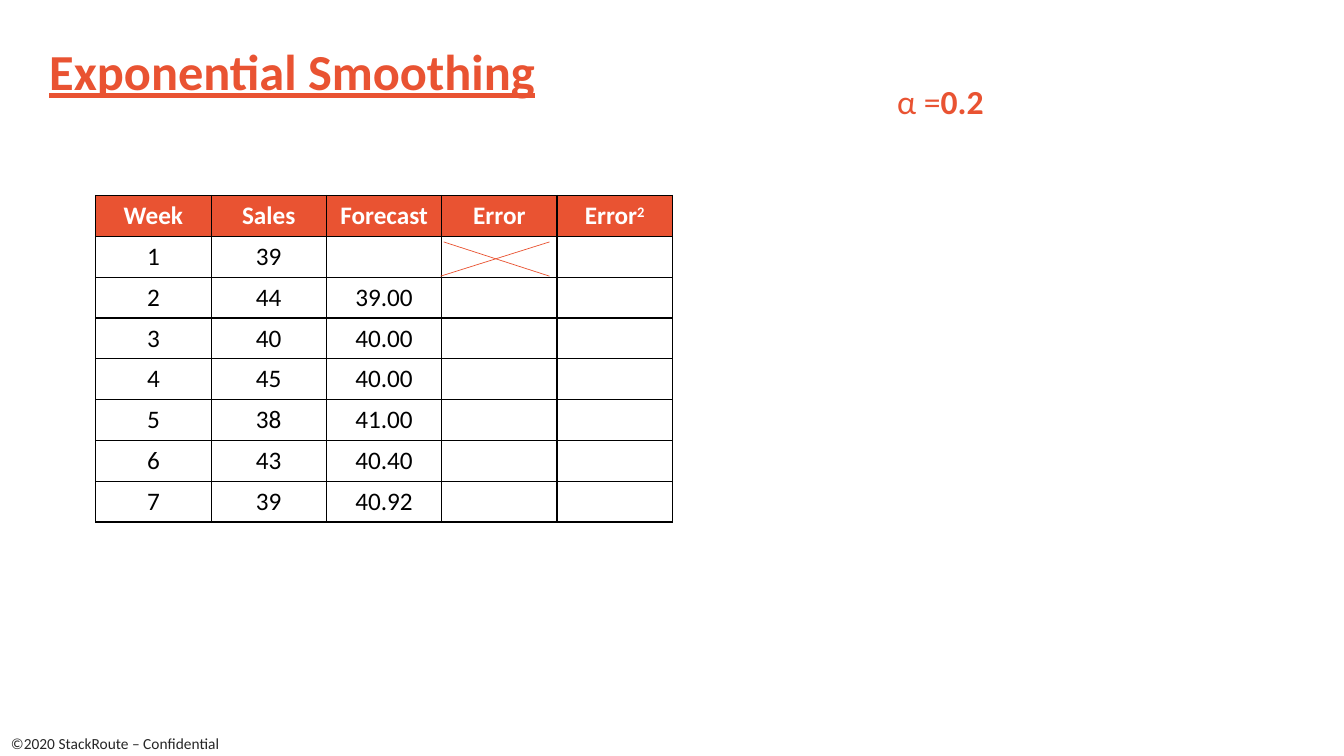
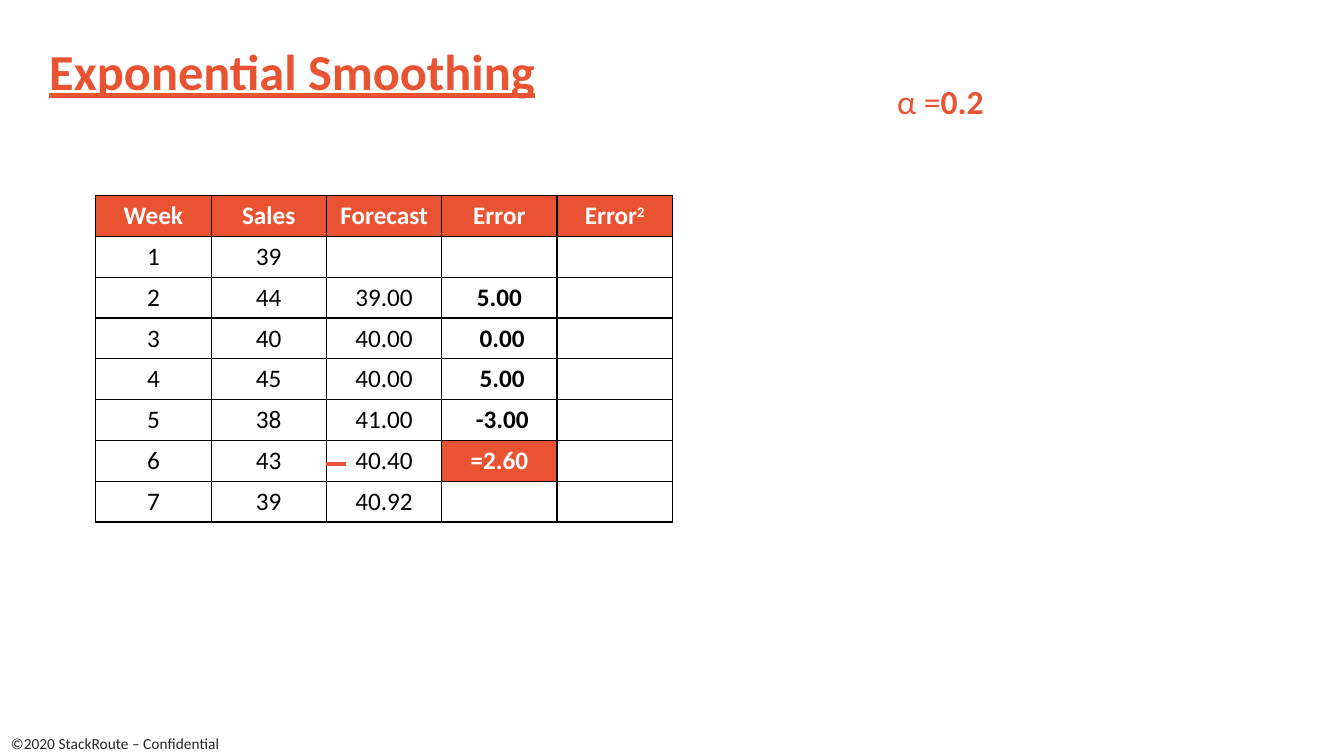
import pptx
import pptx.dml.color
import pptx.enum.shapes
import pptx.enum.text
import pptx.oxml
import pptx.oxml.ns
import pptx.util

Inches = pptx.util.Inches
Pt = pptx.util.Pt

COLORS = {"accent": "E95332", "white": "FFFFFF", "black": "000000", "footer": "262626"}
FONT = "Calibri"

TITLE_STYLE = {"size": 36, "color": "accent", "bold": True, "underline": True}
FOOTER_STYLE = {"size": 11, "color": "footer"}
ALPHA_STYLE = {"size": 24, "color": "accent"}
HEADER_STYLE = {"size": 18, "color": "white", "bold": True}
BODY_STYLE = {"size": 18, "color": "black", "bold": False}
ERROR_STYLE = {"size": 18, "color": "black", "bold": True}

TITLE = "Exponential Smoothing"
FOOTER = "©2020 StackRoute – Confidential"
HEADERS = ["Week", "Sales", "Forecast", "Error", "Error"]
SALES = ["39", "44", "40", "45", "38", "43", "39"]
FORECASTS = ["", "39.00", "40.00", "40.00", "41.00", "40.40", "40.92"]

SLIDES = [
    {
        "errors": [""] * 7,
        "highlight_week": None,
        "lines": [(4.4, 2.4, 5.45, 2.74), (4.37, 2.74, 5.45, 2.4)],
        "line_width": 0.5,
    },
    {
        "errors": ["", "5.00", " 0.00", " 5.00", " -3.00", "=2.60", ""],
        "highlight_week": 6,
        "lines": [(3.23, 4.6, 3.43, 4.6)],
        "line_width": 3,
    },
]

TABLE_LEFT, TABLE_TOP, TABLE_WIDTH, TABLE_HEIGHT = 0.95, 1.94, 5.72, 3.24


def rgb(name):
    return pptx.dml.color.RGBColor.from_string(COLORS[name])


def add_run(paragraph, text, style):
    run = paragraph.add_run()
    run.text = text
    run.font.name = FONT
    for attribute, value in style.items():
        if attribute == "color":
            run.font.color.rgb = rgb(value)
        else:
            setattr(run.font, attribute, Pt(value) if attribute == "size" else value)
    return run


def add_text(slide, box, runs, wrap=True):
    shape = slide.shapes.add_textbox(*map(Inches, box))
    shape.text_frame.word_wrap = wrap
    for text, style in runs:
        add_run(shape.text_frame.paragraphs[0], text, style)


def add_borders(cell):
    properties = cell._tc.get_or_add_tcPr()
    for position, side in enumerate(("lnL", "lnR", "lnT", "lnB")):
        border = pptx.oxml.parse_xml(
            f'<a:{side} {pptx.oxml.ns.nsdecls("a")} w="{Pt(1)}"><a:solidFill>'
            f'<a:srgbClr val="{COLORS["black"]}"/></a:solidFill></a:{side}>'
        )
        properties.insert(position, border)


def fill_cell(cell, text, style, fill):
    cell.fill.solid()
    cell.fill.fore_color.rgb = rgb(fill)
    add_borders(cell)
    paragraph = cell.text_frame.paragraphs[0]
    paragraph.alignment = pptx.enum.text.PP_ALIGN.CENTER
    if text:
        add_run(paragraph, text, style)


def add_sales_table(slide, errors, highlight_week):
    weeks = [str(week) for week in range(1, len(SALES) + 1)]
    rows = [HEADERS, *zip(weeks, SALES, FORECASTS, errors, [""] * len(SALES))]
    box = (TABLE_LEFT, TABLE_TOP, TABLE_WIDTH, TABLE_HEIGHT)
    table = slide.shapes.add_table(len(rows), len(HEADERS), *map(Inches, box)).table
    table.horz_banding = False
    for row_index, row in enumerate(rows):
        for column_index, text in enumerate(row):
            is_error = HEADERS[column_index] == "Error"
            style, fill = (ERROR_STYLE if is_error else BODY_STYLE), "white"
            if row_index == 0 or (is_error and text and row_index == highlight_week):
                style, fill = HEADER_STYLE, "accent"
            fill_cell(table.cell(row_index, column_index), text, style, fill)
    squared_header = table.cell(0, len(HEADERS) - 1).text_frame.paragraphs[0]
    exponent = add_run(squared_header, "2", HEADER_STYLE)
    exponent.font._element.set("baseline", "30000")


def add_lines(shapes, lines, width):
    for ends in lines:
        connector = shapes.add_connector(
            pptx.enum.shapes.MSO_CONNECTOR.STRAIGHT, *map(Inches, ends)
        )
        connector.line.color.rgb = rgb("accent")
        connector.line.width = Pt(width)
        connector._element.spPr.append(
            pptx.oxml.parse_xml(f'<a:effectLst {pptx.oxml.ns.nsdecls("a")}/>')
        )


def build_slide(presentation, content):
    slide = presentation.slides.add_slide(presentation.slide_layouts[6])
    add_text(slide, (0.01, 7.23, 2.29, 0.29), [(FOOTER, FOOTER_STYLE)], wrap=False)
    add_text(slide, (0.39, 0.35, 11.57, 0.71), [(TITLE, TITLE_STYLE)])
    add_sales_table(slide, content["errors"], content["highlight_week"])
    alpha_runs = [("α =", ALPHA_STYLE), ("0.2", {**ALPHA_STYLE, "bold": True})]
    add_text(slide, (8.8, 0.75, 1.2, 0.5), alpha_runs)
    lines = content["lines"]
    shapes = slide.shapes.add_group_shape().shapes if len(lines) > 1 else slide.shapes
    add_lines(shapes, lines, content["line_width"])


def main():
    presentation = pptx.Presentation()
    presentation.slide_width = Inches(13.33)
    presentation.slide_height = Inches(7.5)
    for content in SLIDES:
        build_slide(presentation, content)
    presentation.save("out.pptx")


if __name__ == "__main__":
    main()
